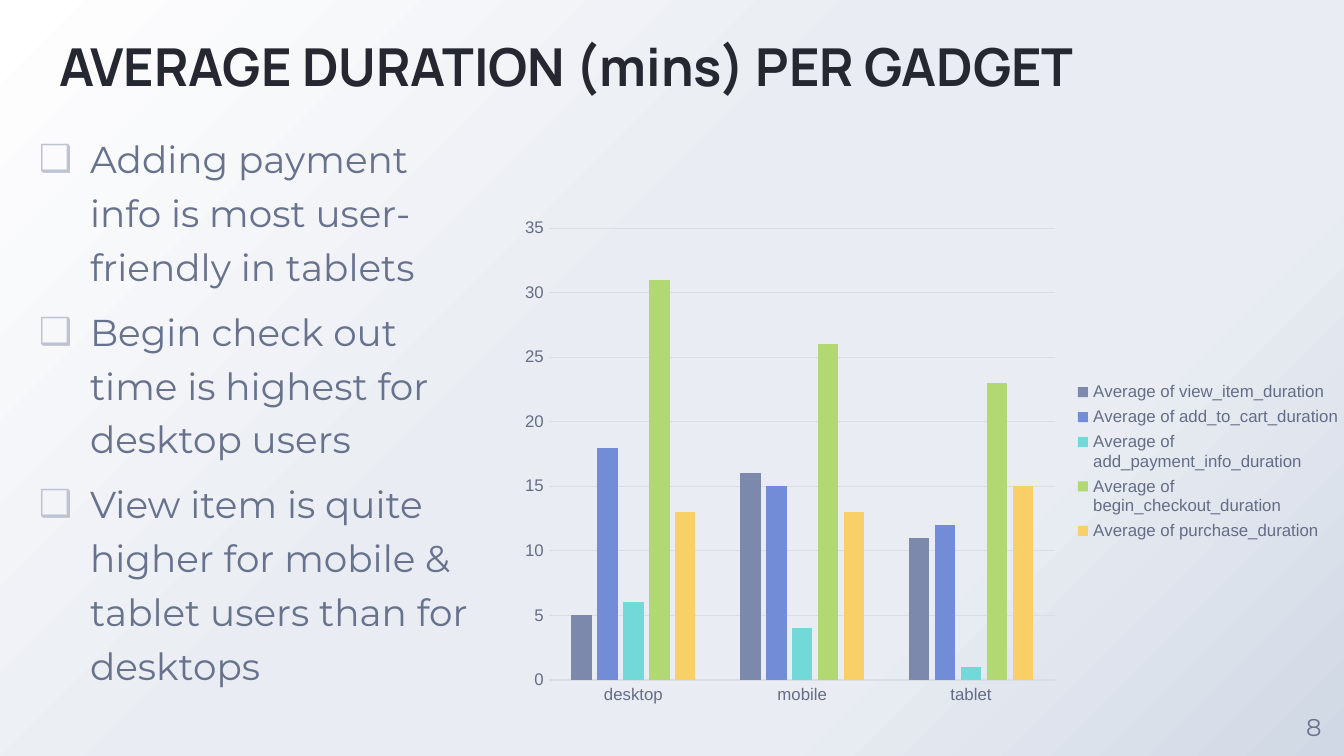
from lxml.etree import SubElement
from pptx import Presentation
from pptx.chart.data import CategoryChartData
from pptx.dml.color import RGBColor
from pptx.enum.chart import XL_CHART_TYPE, XL_LEGEND_POSITION, XL_TICK_MARK
from pptx.enum.text import MSO_ANCHOR, MSO_AUTO_SIZE, PP_ALIGN
from pptx.oxml import parse_xml
from pptx.oxml.ns import nsdecls, qn
from pptx.util import Inches, Pt

# Content
TITLE = "AVERAGE DURATION (mins) PER GADGET"
FINDINGS = [
    "Adding payment info is most user-friendly in tablets",
    "Begin check out time is highest for desktop users",
    "View item is quite higher for mobile & tablet users than for desktops",
]
PAGE = "8"
GADGETS = ["desktop", "mobile", "tablet"]
DURATIONS = [  # step, minutes per gadget, colour
    ("view_item", (5, 16, 11), "7D89AC"),
    ("add_to_cart", (18, 15, 12), "728CD8"),
    ("add_payment_info", (6, 4, 1), "72D8D8"),
    ("begin_checkout", (31, 26, 23), "B1D872"),
    ("purchase", (13, 13, 15), "F8D067"),
]

THEME = {
    "head_font": "Manrope", "body_font": "Montserrat", "chart_font": "Arial",
    "dark": "252831", "text": "68728D", "bullet": "BDC3D3",
    "label": "656D86", "grid": "DBDDE4",
    "title": 28, "body": 20, "page": 13, "chart": 10, "axis": 9,
    "background": [(0, "FFFFFF"), (44, "E9EDF3"), (72, "E9EDF3"), (100, "D0D8E5")],
}


def set_font(font, name, size, color, bold=False):
    font.name, font.size, font.bold = name, Pt(size), bold
    font.color.rgb = RGBColor.from_string(color)


def place(sp, left, top, width, height):
    sp.left, sp.top = Inches(left), Inches(top)
    sp.width, sp.height = Inches(width), Inches(height)


def write(sp, lines, *, font, size, color, bold=False, align=PP_ALIGN.LEFT,
          anchor=MSO_ANCHOR.TOP, spacing=1.0, before=0, bullet=None):
    tf = sp.text_frame
    tf.word_wrap, tf.auto_size = True, MSO_AUTO_SIZE.NONE
    tf.vertical_anchor = anchor
    tf.margin_left = tf.margin_right = tf.margin_top = tf.margin_bottom = 0
    for i, line in enumerate(lines):
        p = tf.add_paragraph() if i else tf.paragraphs[0]
        p.alignment, p.line_spacing, p.space_before = align, spacing, Pt(before)
        r = p.add_run()
        r.text = line
        set_font(r.font, font, size, color, bold)
        if bullet:
            pPr = p._p.get_or_add_pPr()
            pPr.set("marL", str(Inches(0.38)))
            pPr.set("indent", str(Inches(-0.38)))
            clr = SubElement(pPr, qn("a:buClr"))
            SubElement(clr, qn("a:srgbClr"), val=THEME["bullet"])
            SubElement(pPr, qn("a:buChar"), char=bullet)


def paint_background(s):
    fill = s.background.fill
    fill.gradient()
    grad = s._element.find(".//" + qn("a:gradFill"))
    stops = "".join(f'<a:gs pos="{pos * 1000}"><a:srgbClr val="{c}"/></a:gs>'
                    for pos, c in THEME["background"])
    grad.getparent().replace(grad, parse_xml(
        f'<a:gradFill {nsdecls("a")} rotWithShape="1"><a:gsLst>{stops}</a:gsLst>'
        '<a:path path="circle"><a:fillToRect r="100000" b="100000"/></a:path>'
        '</a:gradFill>'))


def rule(line):
    line.color.rgb = RGBColor.from_string(THEME["grid"])
    line.width = Pt(0.75)


def add_duration_chart(s):
    data = CategoryChartData(number_format="0")
    data.categories = GADGETS
    for step, minutes, _ in DURATIONS:
        data.add_series(f"Average of {step}_duration", minutes)
    chart = s.shapes.add_chart(
        XL_CHART_TYPE.COLUMN_CLUSTERED, Inches(3.78), Inches(1.55),
        Inches(6.3), Inches(3.77), data).chart
    chart.has_title = False
    set_font(chart.font, THEME["chart_font"], THEME["chart"], THEME["dark"])

    plot = chart.plots[0]
    plot.gap_width, plot.overlap, plot.vary_by_categories = 219, -27, False
    for series, (_, _, color) in zip(plot.series, DURATIONS):
        series.format.fill.solid()
        series.format.fill.fore_color.rgb = RGBColor.from_string(color)

    # Axes and legend
    chart.has_legend = True
    legend = chart.legend
    legend.position, legend.include_in_layout = XL_LEGEND_POSITION.RIGHT, False
    cat, val = chart.category_axis, chart.value_axis
    for font in (legend.font, cat.tick_labels.font, val.tick_labels.font):
        set_font(font, THEME["chart_font"], THEME["axis"], THEME["label"])
    for axis in (cat, val):
        axis.major_tick_mark = axis.minor_tick_mark = XL_TICK_MARK.NONE
    rule(cat.format.line)
    rule(val.major_gridlines.format.line)
    val.format.line.fill.background()
    val.minimum_scale, val.maximum_scale, val.major_unit = 0, 35, 5
    val.tick_labels.number_format = "0"
    val.tick_labels.number_format_is_linked = False


def main():
    prs = Presentation()
    prs.slide_width, prs.slide_height = Inches(10), Inches(10 * 9 / 16)
    s = prs.slides.add_slide(prs.slide_layouts[1])
    paint_background(s)

    # Page number
    page = s.shapes.add_textbox(Inches(9.55), Inches(5.18), Inches(0.45), Inches(0.45))
    write(page, [PAGE], font=THEME["body_font"], size=THEME["page"],
          color=THEME["text"], align=PP_ALIGN.CENTER, anchor=MSO_ANCHOR.MIDDLE)

    # Title
    title = s.shapes.title
    place(title, 0.44, -0.55, 9.12, 1.27)
    write(title, [TITLE], font=THEME["head_font"], size=THEME["title"],
          color=THEME["dark"], bold=True, anchor=MSO_ANCHOR.BOTTOM)

    # Chart
    add_duration_chart(s)

    # Findings
    body = s.placeholders[1]
    place(body, 0.29, 0.95, 3.2, 1.18)
    write(body, FINDINGS, font=THEME["body_font"], size=THEME["body"],
          color=THEME["text"], spacing=1.2, before=6, bullet="❑")

    prs.save("out.pptx")


if __name__ == "__main__":
    main()
